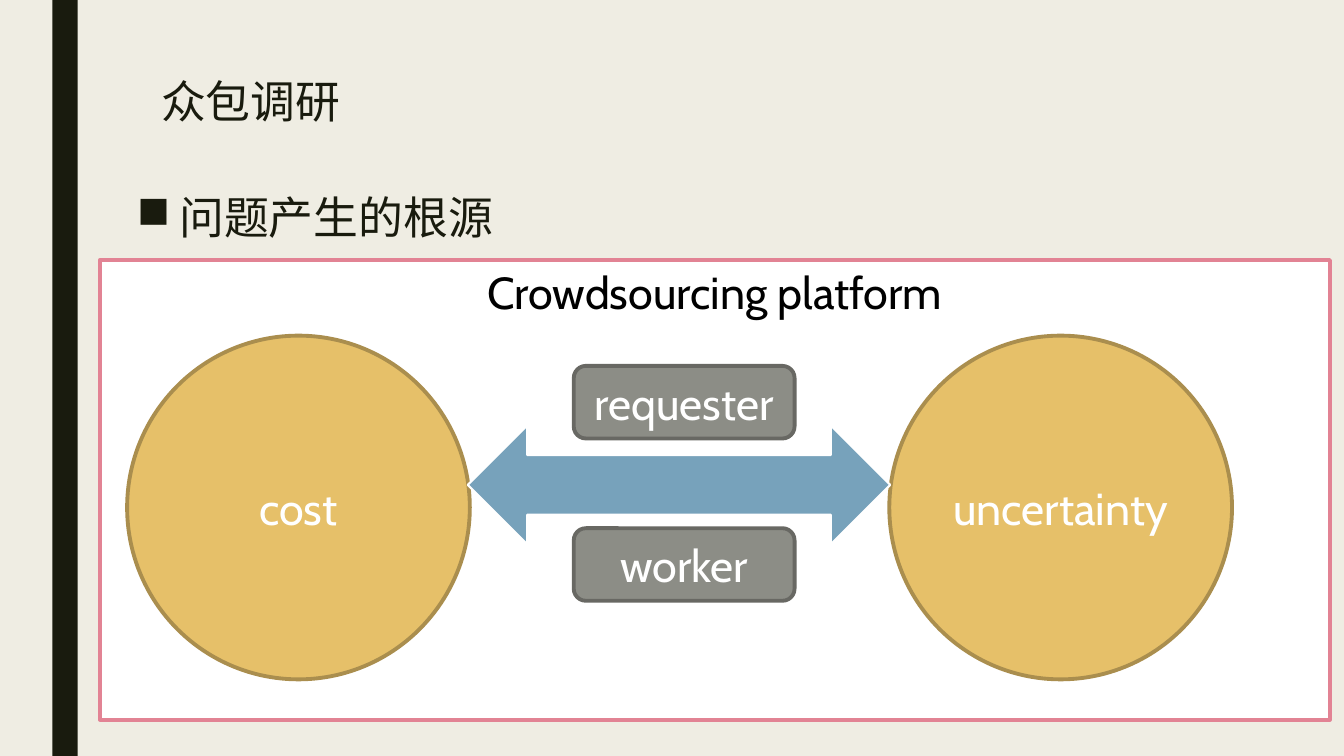
from lxml import etree
from pptx import Presentation
from pptx.dml.color import RGBColor
from pptx.enum.shapes import MSO_SHAPE as Shape
from pptx.enum.text import MSO_ANCHOR as Anchor, PP_ALIGN as Align
from pptx.oxml.ns import qn
from pptx.util import Inches, Pt

PAPER = RGBColor(0xEF, 0xED, 0xE3)
INK = RGBColor(0x19, 0x1B, 0x0E)
WHITE = RGBColor(0xFF, 0xFF, 0xFF)
BLACK = RGBColor(0x00, 0x00, 0x00)
PINK = RGBColor(0xE2, 0x83, 0x94)
GOLD = RGBColor(0xE6, 0xC0, 0x69)
GOLD_EDGE = RGBColor(0xAA, 0x8E, 0x4E)
BLUE = RGBColor(0x77, 0xA2, 0xBB)
GREY = RGBColor(0x8C, 0x8D, 0x86)
GREY_EDGE = RGBColor(0x68, 0x68, 0x63)

# The slide is a grid of 100 columns by 100 rows
WIDTH, HEIGHT = Inches(13.33), Inches(7.5)
COLUMN, ROW = WIDTH / 100, HEIGHT / 100


def on_grid(box):
    left, top, width, height = box
    return [round(n * unit) for n, unit in
            ((left, COLUMN), (top, ROW), (width, COLUMN), (height, ROW))]


def inside(box, left, top, width, height):
    return box[0] + left, box[1] + top, width, height


def write(frame, text, color, anchor=Anchor.TOP, **paragraph_format):
    frame.word_wrap = True
    frame.vertical_anchor = anchor
    paragraph = frame.paragraphs[0]
    for key, value in paragraph_format.items():
        setattr(paragraph, key, value)
    run = paragraph.add_run()
    run.text = text
    for key, value in {"name": "Cabin", "size": Pt(32)}.items():
        setattr(run.font, key, value)
    run.font.color.rgb = color
    return paragraph


def add_block(slide, kind, box, fill, edge=None, edge_width=2.75):
    block = slide.shapes.add_shape(kind, *on_grid(box))
    block.shadow.inherit = False
    block.fill.solid()
    block.fill.fore_color.rgb = fill
    if edge is None:
        block.line.fill.background()
    else:
        block.line.color.rgb = edge
        block.line.width = Pt(edge_width)
    return block


def add_label_block(slide, kind, box, fill, edge, label):
    block = add_block(slide, kind, box, fill, edge)
    write(block.text_frame, label, WHITE, Anchor.MIDDLE, alignment=Align.CENTER)


def add_title(slide, box):
    title = slide.shapes.add_textbox(*on_grid(box))
    write(title.text_frame, "众包调研", INK, line_spacing=0.89)


def add_topic(slide, box):
    topic = slide.shapes.add_textbox(*on_grid(box))
    paragraph = write(topic.text_frame, "问题产生的根源", INK, line_spacing=0.94,
                      space_before=Pt(10), space_after=Pt(2))
    # Square bullet with a hanging indent
    properties = paragraph._p.get_or_add_pPr()
    indent = Inches(0.42)
    properties.set("marL", str(indent))
    properties.set("indent", str(-indent))
    etree.SubElement(properties, qn("a:buChar")).set("char", "■")


def add_platform(slide, box):
    panel = add_block(slide, Shape.RECTANGLE, box, WHITE, PINK)
    write(panel.text_frame, "Crowdsourcing platform", BLACK, alignment=Align.CENTER)

    # Two opposing forces joined by the arrow
    for label, left in (("cost", 2.03), ("uncertainty", 58.74)):
        add_label_block(slide, Shape.OVAL, inside(box, left, 10, 25.5, 45.47),
                        GOLD, GOLD_EDGE, label)
    add_block(slide, Shape.LEFT_RIGHT_ARROW, inside(box, 27.38, 21.87, 31.43, 15.73),
              BLUE, WHITE, 1.5)

    # Roles above and below the arrow
    for label, top in (("requester", 14), ("worker", 35.47)):
        add_label_block(slide, Shape.ROUNDED_RECTANGLE, inside(box, 35.26, top, 16.43, 9.6),
                        GREY, GREY_EDGE, label)


def main():
    deck = Presentation()
    deck.slide_width, deck.slide_height = WIDTH, HEIGHT
    slide = deck.slides.add_slide(deck.slide_layouts[6])
    slide.background.fill.solid()
    slide.background.fill.fore_color.rgb = PAPER

    # Side bar
    add_block(slide, Shape.RECTANGLE, (3.9, 0, 1.88, 100), INK)
    add_platform(slide, (7.43, 34.4, 91.52, 60.8))
    add_title(slide, (11.25, 10, 78.77, 21.6))
    add_topic(slide, (9.45, 25.07, 78.77, 52.27))
    deck.save("out.pptx")


if __name__ == "__main__":
    main()
